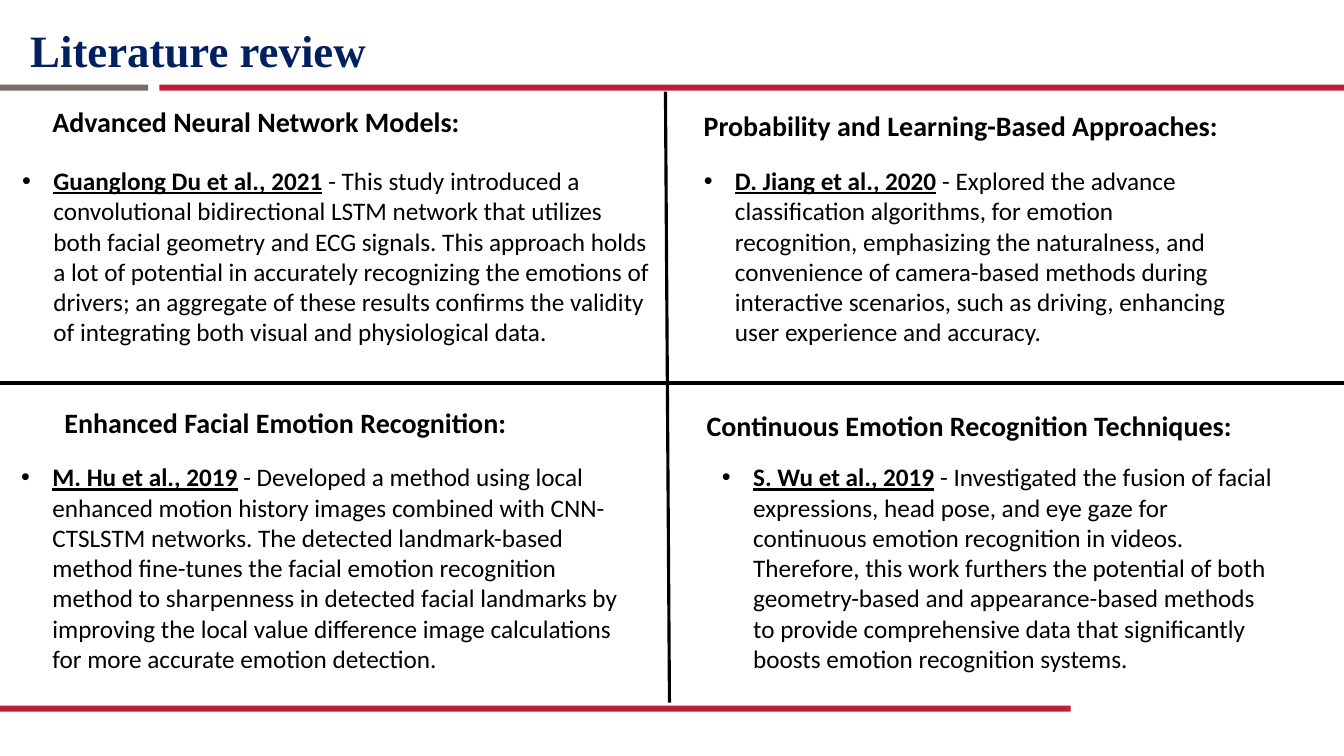
from pptx import Presentation
from pptx.dml.color import RGBColor
from pptx.enum.shapes import MSO_CONNECTOR as Connector, MSO_SHAPE as Shape
from pptx.enum.text import MSO_ANCHOR as Anchor, MSO_AUTO_SIZE as AutoSize, PP_ALIGN as Align
from pptx.oxml.ns import qn
from pptx.util import Inches, Pt
from lxml.etree import SubElement

RED, GREY, NAVY, BLACK = "BE1E3C", "786E64", "002060", "000000"
WIDTH, HEIGHT = 13.33, 7.5
BAR_HEIGHT = 0.06

BARS = [(1.58, 0.84, WIDTH - 1.58, RED), (0, 0.84, 1.47, GREY), (0, 7, 10.62, RED)]
DIVIDERS = [(6.6, 0.91, 6.64, 6.97), (0, 3.8, WIDTH, 3.8)]
TOPICS = [
    ("Advanced Neural Network Models:", (0.42, 0.99, 4.28, 0.44),
     "Guanglong Du et al., 2021",
     " - This study introduced a convolutional bidirectional LSTM network that utilizes both "
     "facial geometry and ECG signals. This approach holds a lot of potential in accurately "
     "recognizing the emotions of drivers; an aggregate of these results confirms the validity "
     "of integrating both visual and physiological data.",
     (0.12, 1.59, 6.42, 1.92)),
    ("Probability and Learning-Based Approaches:", (6.88, 1.03, 5.35, 0.44),
     "D. Jiang et al., 2020",
     " - Explored the advance classification algorithms, for emotion recognition, emphasizing "
     "the naturalness, and convenience of camera-based methods during interactive scenarios, "
     "such as driving, enhancing user experience and accuracy.",
     (6.88, 1.59, 5.49, 2.22)),
    ("Enhanced Facial Emotion Recognition:", (0.54, 3.97, 4.62, 0.44),
     "M. Hu et al., 2019",
     " - Developed a method using local enhanced motion history images combined with "
     "CNN-CTSLSTM networks. The detected landmark-based method fine-tunes the facial emotion "
     "recognition method to sharpenness in detected facial landmarks by improving the local "
     "value difference image calculations for more accurate emotion detection.",
     (0.11, 4.53, 6.23, 2.22)),
    ("Continuous Emotion Recognition Techniques:", (6.91, 4, 5.46, 0.44),
     "S. Wu et al., 2019",
     " - Investigated the fusion of facial expressions, head pose, and eye gaze for continuous "
     "emotion recognition in videos. Therefore, this work furthers the potential of both "
     "geometry-based and appearance-based methods to provide comprehensive data that "
     "significantly boosts emotion recognition systems.",
     (7.06, 4.53, 5.7, 2.22)),
]


def color(value):
    return RGBColor.from_string(value)


class ReviewSlide:
    """Holds the text style and the current slide, and draws its elements."""

    body_font, title_font = "Calibri", "Times New Roman"

    def __init__(self, presentation):
        self.slide = presentation.slides.add_slide(presentation.slide_layouts[4])
        self.bodies = [holder for holder in self.slide.placeholders
                       if holder.placeholder_format.idx in range(1, 5)]

    def format_run(self, run, size, bold=True, underline=False, font=body_font, ink=BLACK):
        run.font.name, run.font.size = font, Pt(size)
        run.font.bold, run.font.underline = bold, underline
        run.font.color.rgb = color(ink)

    def place(self, shape, box):
        shape.left, shape.top, shape.width, shape.height = map(Inches, box)
        shape.text_frame.auto_size = AutoSize.NONE

    def title(self, text, box):
        shape = self.slide.shapes.title
        self.place(shape, box)
        frame = shape.text_frame
        frame.text = text
        frame.margin_left = frame.margin_top = frame.margin_right = frame.margin_bottom = 0
        frame.vertical_anchor = Anchor.MIDDLE
        frame.paragraphs[0].alignment = Align.LEFT
        self.format_run(frame.paragraphs[0].runs[0], 32, font=self.title_font, ink=NAVY)

    def bar(self, left, top, width, fill):
        shape = self.slide.shapes.add_shape(
            Shape.RECTANGLE, *map(Inches, (left, top, width, BAR_HEIGHT)))
        shape.shadow.inherit = False
        shape.fill.solid()
        shape.fill.fore_color.rgb = color(fill)
        shape.line.fill.background()

    def divider(self, *ends):
        line = self.slide.shapes.add_connector(Connector.STRAIGHT, *map(Inches, ends))
        line.line.color.rgb = color(BLACK)
        line.line.width = Pt(2.25)
        SubElement(line._element.spPr, qn("a:effectLst"))

    def heading(self, text, box):
        shape = self.slide.shapes.add_textbox(*map(Inches, box))
        shape.text_frame.word_wrap = False
        shape.text_frame.text = text
        self.format_run(shape.text_frame.paragraphs[0].runs[0], 20)

    def study(self, body, citation, summary, box):
        self.place(body, box)
        frame = body.text_frame
        frame.word_wrap = True
        frame.vertical_anchor = Anchor.TOP
        frame.text = citation
        paragraph = frame.paragraphs[0]
        paragraph.space_before = Pt(0)
        self.format_run(paragraph.runs[0], 18, underline=True)
        run = paragraph.add_run()
        run.text = summary
        self.format_run(run, 18, bold=False)
        properties = paragraph._p.get_or_add_pPr()
        properties.set("marL", str(Inches(0.31)))
        properties.set("indent", str(-Inches(0.31)))
        SubElement(properties, qn("a:buFont"), typeface="Arial")
        SubElement(properties, qn("a:buChar"), char="•")


def main():
    presentation = Presentation()
    presentation.slide_width, presentation.slide_height = Inches(WIDTH), Inches(HEIGHT)
    review = ReviewSlide(presentation)
    for bar in BARS:
        review.bar(*bar)
    review.title("Literature review", (0.3, 0.22, 9.23, 0.54))
    for divider in DIVIDERS:
        review.divider(*divider)
    for body, (heading, heading_box, citation, summary, box) in zip(review.bodies, TOPICS):
        review.heading(heading, heading_box)
        review.study(body, citation, summary, box)
    presentation.save("out.pptx")


if __name__ == "__main__":
    main()
